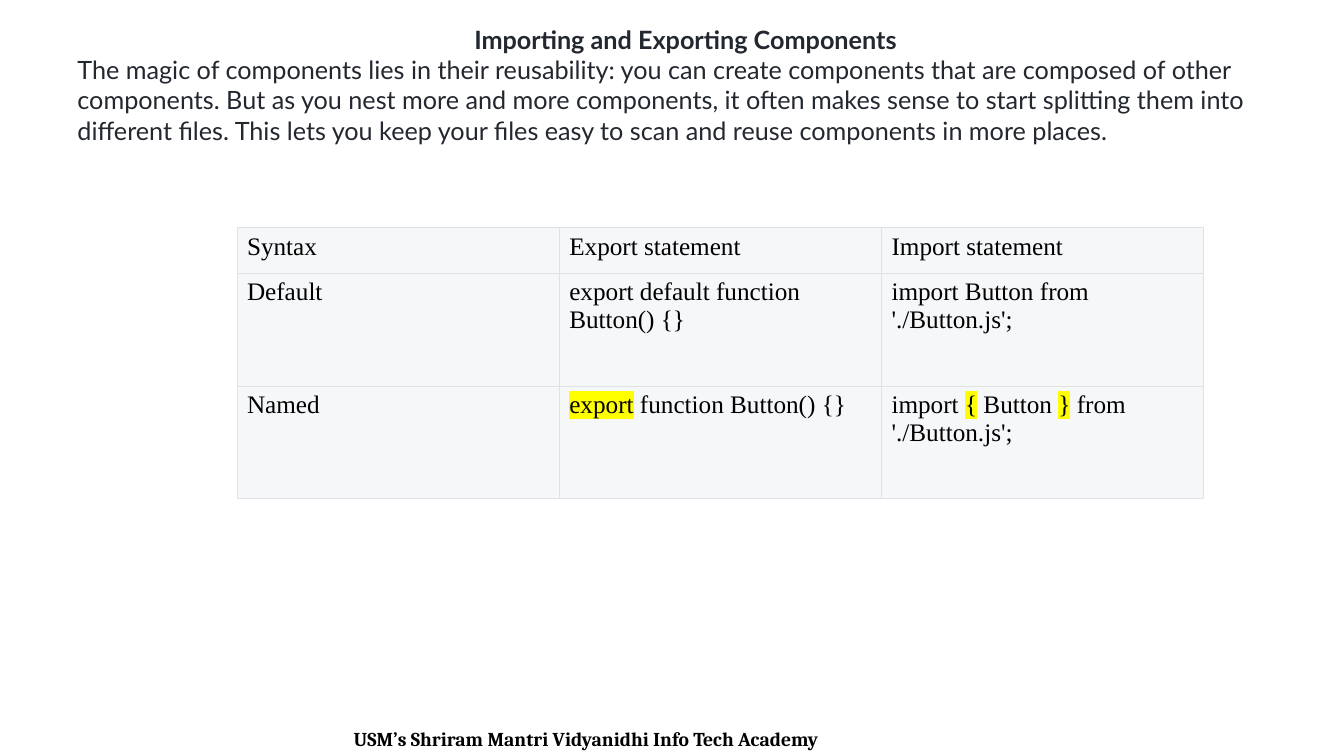
from lxml.etree import SubElement
from pptx import Presentation
from pptx.dml.color import RGBColor
from pptx.enum.text import PP_ALIGN as Align
from pptx.oxml.ns import qn
from pptx.util import Inches, Pt

WIDTH, HEIGHT = 13.33, 7.5
HIGHLIGHT = "FFFF00"
TITLE = "Importing and Exporting Components"
INTRO = (
    "The magic of components lies in their reusability: you can create components "
    "that are composed of other components. But as you nest more and more components, "
    "it often makes sense to start splitting them into different files. This lets you "
    "keep your files easy to scan and reuse components in more places."
)
FOOTER = "USM’s Shriram Mantri Vidyanidhi Info Tech Academy"
SYNTAX_ROWS = [
    (["Syntax"], ["Export statement"], ["Import statement"]),
    (["Default"], ["export default function Button() {}"], ["import Button from './Button.js';"]),
    (
        ["Named"],
        ["", "export", " function Button() {}"],
        ["import ", "{", " Button ", "}", " from './Button.js';"],
    ),
]
ROW_SHARES = (1, 2.5, 2.5)


def color(hex_value):
    return RGBColor.from_string(hex_value)


def style(paragraph, name, size, hex_value, bold=False, align=Align.LEFT):
    paragraph.alignment = align
    font = paragraph.font
    font.name, font.size, font.bold = name, Pt(size), bold
    font.color.rgb = color(hex_value)


def add_text_frame(slide, box):
    frame = slide.shapes.add_textbox(*map(Inches, box)).text_frame
    frame.word_wrap = True
    return frame


def add_intro(slide, box):
    frame = add_text_frame(slide, box)
    title = frame.paragraphs[0]
    title.text = TITLE
    style(title, "Lato", 18, "23272F", True, Align.CENTER)
    intro = frame.add_paragraph()
    intro.text = INTRO
    style(intro, "Lato", 18, "23272F")


def add_footer(slide, box):
    paragraph = add_text_frame(slide, box).paragraphs[0]
    paragraph.text = FOOTER
    style(paragraph, "Cambria", 14, "000000", True, Align.CENTER)


def add_borders(cell, hex_value, points):
    properties = cell._tc.get_or_add_tcPr()
    for side in ("a:lnL", "a:lnR", "a:lnT", "a:lnB"):
        line = SubElement(properties, qn(side), w=str(Pt(points)))
        SubElement(SubElement(line, qn("a:solidFill")), qn("a:srgbClr"), val=hex_value)


def highlight(run):
    mark = SubElement(run._r.get_or_add_rPr(), qn("a:highlight"))
    SubElement(mark, qn("a:srgbClr"), val=HIGHLIGHT)


def fill_cell(cell, pieces):
    add_borders(cell, "DEE2E6", 0.6)
    cell.fill.solid()
    cell.fill.fore_color.rgb = color("F6F7F9")
    paragraph = cell.text_frame.paragraphs[0]
    style(paragraph, "Times New Roman", 18, "000000")
    for index, piece in enumerate(pieces):
        if piece:
            run = paragraph.add_run()
            run.text = piece
            if index % 2:
                highlight(run)


def add_syntax_table(slide, box):
    height = box[3]
    columns = len(SYNTAX_ROWS[0])
    table = slide.shapes.add_table(len(SYNTAX_ROWS), columns, *map(Inches, box)).table
    for row, share, contents in zip(table.rows, ROW_SHARES, SYNTAX_ROWS):
        row.height = Inches(height * share / sum(ROW_SHARES))
        for cell, pieces in zip(row.cells, contents):
            fill_cell(cell, pieces)


def main():
    presentation = Presentation()
    presentation.slide_width, presentation.slide_height = Inches(WIDTH), Inches(HEIGHT)
    slide = presentation.slides.add_slide(presentation.slide_layouts[6])
    add_footer(slide, (1.28, 7.16, 9.07, 0.34))
    add_intro(slide, (0.67, 0.19, 12.26, 1.31))
    add_syntax_table(slide, (2.35, 2.26, 9.59, 2.69))
    presentation.save("out.pptx")


if __name__ == "__main__":
    main()
